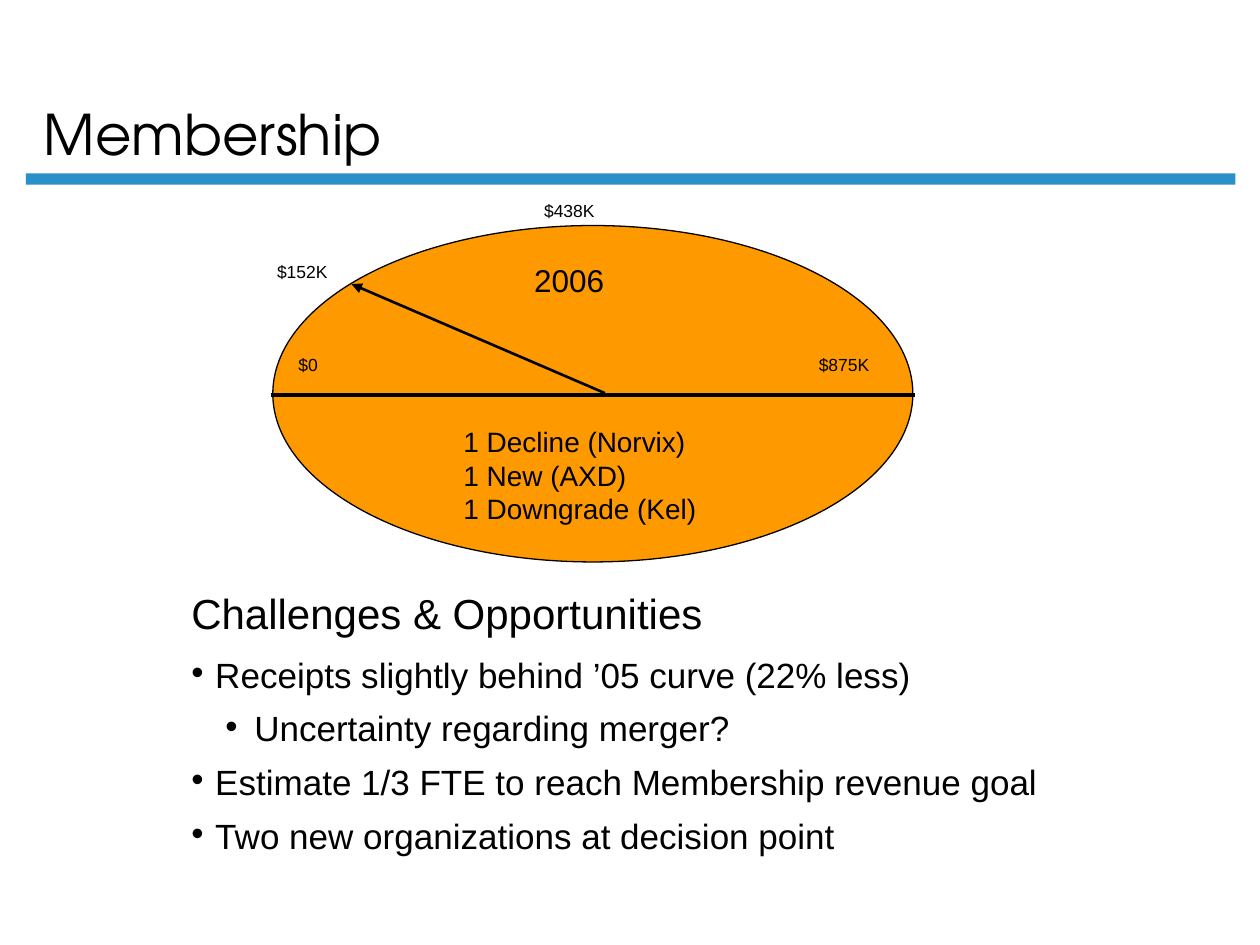
import pptx
import pptx.dml.color
import pptx.enum.shapes
import pptx.enum.text
import pptx.oxml
import pptx.oxml.ns
import pptx.util
from dataclasses import dataclass


@dataclass(frozen=True)
class Theme:
    ink: str = "000000"
    rule: str = "2990CA"
    dial: str = "FF9900"
    body_font: str = "Arial"
    title_font: str = "TeX Gyre Adventor"
    title: int = 32
    heading: int = 24
    bullet: int = 20
    year: int = 18
    change: int = 16
    scale: int = 10


theme = Theme()
rgb = pptx.dml.color.RGBColor.from_string
Pt = pptx.util.Pt
SHAPE = pptx.enum.shapes.MSO_SHAPE
STRAIGHT = pptx.enum.shapes.MSO_CONNECTOR.STRAIGHT
ANCHOR = pptx.enum.text.MSO_ANCHOR
AUTO_SIZE = pptx.enum.text.MSO_AUTO_SIZE

deck = pptx.Presentation()
deck.slide_width = pptx.util.Inches(10)
deck.slide_height = pptx.util.Inches(7.5)
slide = deck.slides.add_slide(deck.slide_layouts[6])

# Square grid of 100 columns by 75 rows
column = deck.slide_width / 100
row = deck.slide_height / 75


def place(*cells):
    """Turn alternating column and row counts into slide lengths."""
    return [round(cell * (row if i % 2 else column)) for i, cell in enumerate(cells)]


def write(paragraph, text, *, size, font=theme.body_font, margin=0, hang=0,
          bullet=None, spacing=None, before=None, after=None):
    """Fill a paragraph; margin and hang are in grid columns."""
    properties = paragraph._p.get_or_add_pPr()
    properties.set("marL", str(round(margin * column)))
    properties.set("indent", str(round(-hang * column)))
    if bullet:
        namespace = pptx.oxml.ns.nsdecls("a")
        for element in (
            f'<a:buClr {namespace}><a:srgbClr val="{theme.ink}"/></a:buClr>',
            f'<a:buFont {namespace} typeface="{theme.body_font}"/>',
            f'<a:buChar {namespace} char="{bullet}"/>',
        ):
            properties.append(pptx.oxml.parse_xml(element))
    paragraph.line_spacing = spacing
    paragraph.space_before = before
    paragraph.space_after = after
    run = paragraph.add_run()
    run.text = text
    run.font.name = font
    run.font.size = Pt(size)
    run.font.color.rgb = rgb(theme.ink)


# Title and the rule under it
rule = slide.shapes.add_shape(SHAPE.RECTANGLE, *place(2.05, 13.75, 96, 0.9))
rule.shadow.inherit = False
rule.fill.solid()
rule.fill.fore_color.rgb = rgb(theme.rule)
rule.line.fill.background()

title = slide.shapes.add_textbox(*place(2.5, 1.2, 85.6, 12.5)).text_frame
title.word_wrap = True
title.vertical_anchor = ANCHOR.BOTTOM
write(title.paragraphs[0], "Membership", size=theme.title, font=theme.title_font)

# Challenges
challenges = slide.shapes.add_textbox(*place(14.2, 46.1, 71.4, 27.7)).text_frame
challenges.word_wrap = True
write(challenges.paragraphs[0], "Challenges & Opportunities",
      size=theme.heading, margin=1.9, hang=1.9, after=Pt(9))
for level, point in (
    (0, "Receipts slightly behind ’05 curve (22% less)"),
    (1, "Uncertainty regarding merger?"),
    (0, "Estimate 1/3 FTE to reach Membership revenue goal"),
    (0, "Two new organizations at decision point"),
):
    paragraph = challenges.add_paragraph()
    paragraph.level = level
    write(paragraph, point, size=theme.bullet, bullet="•",
          margin=(1.9, 5)[level], hang=(1.9, 2.3)[level],
          spacing=0.65, before=Pt(7.5), after=Pt(7.5))

# Revenue dial
gauge = slide.shapes.add_group_shape().shapes
dial = gauge.add_shape(SHAPE.OVAL, *place(21.65, 17.9, 50.8, 26.7))
dial.shadow.inherit = False
dial.fill.solid()
dial.fill.fore_color.rgb = rgb(theme.dial)
dial.line.color.rgb = rgb(theme.ink)
dial.line.width = Pt(0.75)

for ends, weight, has_arrow in (
    ((21.5, 31.35, 72.65, 31.35), 2.25, False),
    ((48, 31.2, 27.9, 22.55), 1.5, True),
):
    hand = gauge.add_connector(STRAIGHT, *place(*ends))
    hand.line.color.rgb = rgb(theme.ink)
    hand.line.width = Pt(weight)
    namespace = pptx.oxml.ns.nsdecls("a")
    if has_arrow:
        hand.line._get_or_add_ln().append(
            pptx.oxml.parse_xml(f'<a:tailEnd {namespace} type="triangle"/>'))
    hand._element.spPr.append(pptx.oxml.parse_xml(f"<a:effectLst {namespace}/>"))

for cells, size, wraps, lines in (
    ((22.7, 27.6, 3.8, 2.7), theme.scale, False, ["$0"]),
    ((64, 27.6, 6.2, 2.7), theme.scale, False, ["$875K"]),
    ((41.4, 20.2, 7.8, 4), theme.year, False, ["2006"]),
    ((21, 20.2, 6.2, 2.7), theme.scale, False, ["$152K"]),
    ((42.2, 15.4, 10.1, 2.7), theme.scale, True, ["$438K"]),
    ((35.8, 33.2, 21.2, 9), theme.change, False,
     ["1 Decline (Norvix)", "1 New (AXD)", "1 Downgrade (Kel)"]),
):
    label = gauge.add_textbox(*place(*cells)).text_frame
    label.word_wrap = wraps
    label.auto_size = AUTO_SIZE.SHAPE_TO_FIT_TEXT
    for i, line in enumerate(lines):
        write(label.add_paragraph() if i else label.paragraphs[0], line, size=size)

deck.save("out.pptx")
